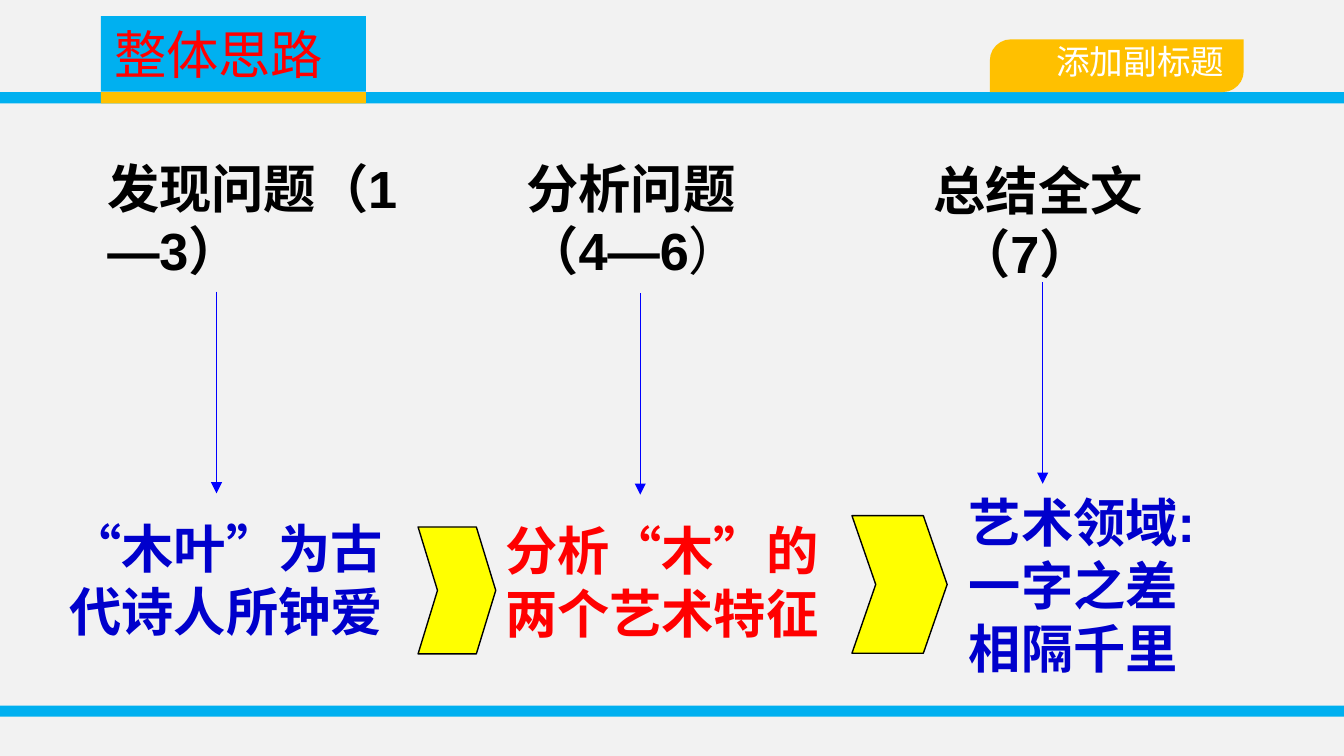
"""Build the lesson outline slide: three stages, each with its conclusion."""
import lxml.etree
import pptx
import pptx.dml.color
import pptx.enum.lang
import pptx.enum.shapes
import pptx.enum.text
import pptx.oxml.ns
import pptx.util

Pt = pptx.util.Pt
Shape = pptx.enum.shapes.MSO_SHAPE
Anchor = pptx.enum.text.MSO_ANCHOR
Align = pptx.enum.text.PP_ALIGN
qn = pptx.oxml.ns.qn

theme = {
    "background": "F2F2F2", "bar": "00B0F0", "gold": "FFC000", "chevron": "FFFF00",
    "arrow": "0000FF", "ink": "000000", "red": "FF0000", "blue": "0000CC",
    "white": "FFFFFF", "font": "Arial", "large": 28, "small": 18,
}


def color(name):
    """Return the theme colour of this name."""
    return pptx.dml.color.RGBColor.from_string(theme[name])


def write(frame, lines, ink="ink", size="large", bold=True, align=Align.LEFT,
          anchor=Anchor.TOP, indent=0, light_end=""):
    """Fill a text frame, indenting the last line and ending it in a regular weight."""
    frame.word_wrap = True
    frame.auto_size = pptx.enum.text.MSO_AUTO_SIZE.NONE
    frame.vertical_anchor = anchor
    for index, line in enumerate(lines):
        para = frame.paragraphs[0] if index == 0 else frame.add_paragraph()
        para.alignment = align
        last = index == len(lines) - 1
        if last and indent:
            para._p.get_or_add_pPr().set("marL", str(Pt(indent)))
        pieces = [(line, bold)]
        if last and light_end:
            pieces.append((light_end, False))
        for text, weight in pieces:
            span = para.add_run()
            span.text = text
            span.font.name = theme["font"]
            span.font.size = Pt(theme[size])
            span.font.bold = weight
            span.font.color.rgb = color(ink)
            span.font.language_id = pptx.enum.lang.MSO_LANGUAGE_ID.SIMPLIFIED_CHINESE


deck = pptx.Presentation()
deck.slide_width, deck.slide_height = Pt(720), Pt(405)
page = deck.slides.add_slide(deck.slide_layouts[5])
page.background.fill.solid()
page.background.fill.fore_color.rgb = color("background")

blocks = [
    (Shape.RECTANGLE, 0, 378, 720, 6, "bar"),
    (Shape.RECTANGLE, 0, 49.4, 720, 6, "bar"),
    (Shape.RECTANGLE, 54, 49.4, 142, 6, "gold"),
    (Shape.ROUND_2_DIAG_RECTANGLE, 530.3, 21.1, 136, 28.3, "gold"),
    (Shape.CHEVRON, 224, 282.3, 41.6, 68, "chevron"),
    (Shape.CHEVRON, 456.4, 276.3, 51, 73.7, "chevron"),
]
for kind, left, top, width, height, fill in blocks:
    block = page.shapes.add_shape(kind, Pt(left), Pt(top), Pt(width), Pt(height))
    block.shadow.inherit = False
    block.fill.solid()
    block.fill.fore_color.rgb = color(fill)
    if kind == Shape.CHEVRON:
        block.adjustments[0] = 0.25
        block.line.color.rgb = color("ink")
        block.line.width = Pt(0.75)
    else:
        block.line.fill.background()
    if kind == Shape.ROUND_2_DIAG_RECTANGLE:
        block.adjustments[0] = 0.4
        block.text_frame.margin_top = 0
        block.text_frame.margin_bottom = Pt(5)
        write(block.text_frame, ["添加副标题"], ink="white", size="small",
              bold=False, align=Align.RIGHT, anchor=Anchor.MIDDLE)

title = page.shapes.title
title.left, title.top, title.width, title.height = Pt(54), Pt(8.6), Pt(142), Pt(40.6)
title.fill.solid()
title.fill.fore_color.rgb = color("bar")
write(title.text_frame, ["整体思路"], ink="red", bold=False, anchor=Anchor.MIDDLE)

texts = [
    (50.4, 80, 175.7, 75, ["发现问题（1—3）"], {}),
    (275, 80, 193, 75, ["分析问题", "（4—6"], {"light_end": "）"}),
    (493.2, 81.4, 206.6, 75, ["总结全文", "（7）"], {"indent": 13}),
    (30.2, 273, 193, 75, ["“木叶”为古代诗人所钟爱"], {"ink": "blue"}),
    (263.5, 274.3, 193, 75, ["分析“木”的两个艺术特征"], {"ink": "red"}),
    (512, 259.2, 171.4, 108.7, ["艺术领域:", "一字之差", "相隔千里"], {"ink": "blue"}),
]
for left, top, width, height, lines, style in texts:
    box = page.shapes.add_textbox(Pt(left), Pt(top), Pt(width), Pt(height))
    write(box.text_frame, lines, **style)

for x, top in [(116, 156.3), (343, 157), (558.6, 151.2)]:
    arrow = page.shapes.add_connector(pptx.enum.shapes.MSO_CONNECTOR.STRAIGHT,
                                      Pt(x), Pt(top), Pt(x), Pt(top + 108))
    arrow.line.color.rgb = color("arrow")
    arrow.line.width = Pt(0.75)
    lxml.etree.SubElement(arrow.line._get_or_add_ln(), qn("a:tailEnd"), type="triangle")
    lxml.etree.SubElement(arrow._element.spPr, qn("a:effectLst"))

deck.save("out.pptx")
